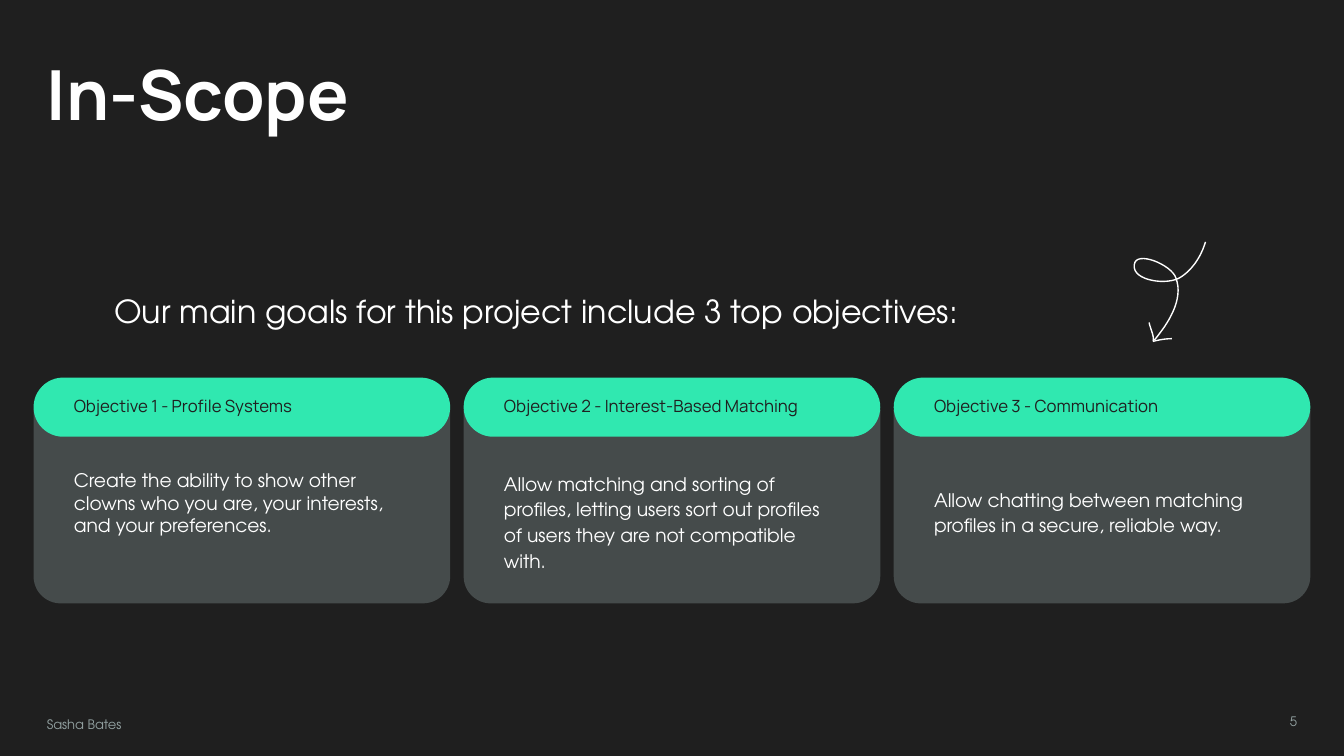
from pptx import Presentation
from pptx.dml.color import RGBColor
from pptx.enum.shapes import MSO_SHAPE
from pptx.enum.text import MSO_ANCHOR, PP_ALIGN
from pptx.util import Inches, Pt

DARK, PANEL, MINT, WHITE, GREY = "1F1F1F", "454B4B", "30E8B0", "FFFFFF", "93A2A2"
HEADING_FONT, BODY_FONT = "Manrope", "TeX Gyre Adventor"
MARGIN, CARD_WIDTH, CARD_GAP = 0.25, 3.1, 0.1
CARD_TOP, CARD_HEIGHT, HEADER_HEIGHT = 2.81, 1.68, 0.44

OBJECTIVES = [
    ("Objective 1 - Profile Systems",
     "Create the ability to show other clowns who you are, your interests, and your preferences.",
     0.58, 1.0),
    ("Objective 2 - Interest-Based Matching",
     "Allow matching and sorting of profiles, letting users sort out profiles of users "
     "they are not compatible with.",
     0.58, 1.15),
    ("Objective 3 - Communication",
     "Allow chatting between matching profiles in a secure, reliable way.",
     0.7, 1.15),
]

ARROW_STROKES = [
    [(0.53, 0), (0.5, 0.1), (0.44, 0.2), (0.35, 0.26),
     (0.25, 0.33), (-0.02, 0.29), (0, 0.17),
     (0.01, 0.06), (0.28, 0.17), (0.31, 0.27),
     (0.37, 0.43), (0.25, 0.61), (0.15, 0.73)],
    [(0.11, 0.6), (0.12, 0.65), (0.15, 0.7), (0.14, 0.74)],
    [(0.14, 0.74), (0.18, 0.73), (0.23, 0.72), (0.28, 0.72)],
]


def color(value):
    """Turn a hex string into a colour."""
    return RGBColor.from_string(value)


def add_text(page, box, text, size, font, ink, side=0.1, edge=0.1, spacing=1.0,
             anchor=MSO_ANCHOR.TOP, align=PP_ALIGN.LEFT, bold=False):
    """Place one paragraph of wrapped text in a box."""
    frame = page.shapes.add_textbox(*map(Inches, box)).text_frame
    frame.word_wrap = True
    frame.vertical_anchor = anchor
    frame.margin_left = frame.margin_right = Inches(side)
    frame.margin_top = frame.margin_bottom = Inches(edge)
    para = frame.paragraphs[0]
    para.text = text
    para.alignment = align
    para.line_spacing = spacing
    span = para.runs[0]
    span.font.size = Pt(size)
    span.font.name = font
    span.font.bold = bold
    span.font.color.rgb = color(ink)


def add_panel(page, kind, box, fill, adjustments):
    """Draw a filled preset shape without outline."""
    shape = page.shapes.add_shape(kind, *map(Inches, box))
    for index, value in enumerate(adjustments):
        shape.adjustments[index] = value
    shape.shadow.inherit = False
    shape.fill.solid()
    shape.fill.fore_color.rgb = color(fill)
    shape.line.fill.background()


def add_card(page, box, heading, body, body_offset, body_spacing):
    """Draw an objective card with its header pill and description."""
    left, top, width, height = box
    header = (left, top, width, HEADER_HEIGHT)
    panel_offset = 0.24
    panel = (left, top + panel_offset, width, height - panel_offset)
    add_panel(page, MSO_SHAPE.ROUND_2_SAME_RECTANGLE, panel, PANEL, (0, 0.14))
    add_panel(page, MSO_SHAPE.ROUNDED_RECTANGLE, header, MINT, (0.5,))
    add_text(page, header, heading, 9, HEADING_FONT, DARK, side=0.3, edge=0,
             spacing=0.9, anchor=MSO_ANCHOR.MIDDLE)
    description = (left, top + body_offset, width, 1.37 - body_offset)
    add_text(page, description, body, 10, BODY_FONT, WHITE, side=0.3, spacing=body_spacing)


def curve_points(controls, steps=16):
    """Sample a chain of cubic curves as points."""
    points = [controls[0]]
    for start in range(0, len(controls) - 1, 3):
        corners = controls[start:start + 4]
        for step in range(1, steps + 1):
            t = step / steps
            weights = ((1 - t) ** 3, 3 * t * (1 - t) ** 2, 3 * t ** 2 * (1 - t), t ** 3)
            points.append(tuple(
                sum(weight * corner[axis] for weight, corner in zip(weights, corners))
                for axis in (0, 1)))
    return points


def add_loop_arrow(page, left, top):
    """Draw the hand-drawn looping arrow."""
    for stroke in ARROW_STROKES:
        points = [(Inches(left + x), Inches(top + y)) for x, y in curve_points(stroke)]
        builder = page.shapes.build_freeform(*points[0])
        builder.add_line_segments(points[1:], close=False)
        shape = builder.convert_to_shape()
        shape.shadow.inherit = False
        shape.fill.background()
        shape.line.color.rgb = color(WHITE)
        shape.line.width = Pt(0.75)


def add_footer(page, left, top, width):
    """Place the author at the left and the page number at the right."""
    add_text(page, (left, top, 1.22, 0.34), "Sasha Bates", 7, BODY_FONT, GREY,
             edge=0.12, spacing=1.15)
    add_text(page, (left + width - 2.4, top, 2.4, 0.32), "5", 7, BODY_FONT, GREY,
             align=PP_ALIGN.RIGHT)


def main():
    """Build and save the deck."""
    deck = Presentation()
    deck.slide_width = Inches(10)
    deck.slide_height = deck.slide_width * 9 // 16
    page = deck.slides.add_slide(deck.slide_layouts[6])
    page.background.fill.solid()
    page.background.fill.fore_color.rgb = color(DARK)

    add_text(page, (MARGIN, 0.28, 6.24, 0.82), "In-Scope", 37, HEADING_FONT, WHITE, bold=True)
    add_text(page, (0.55, 2.07, 8.26, 1.02),
             "Our main goals for this project include 3 top objectives:",
             17, BODY_FONT, WHITE, side=0.3)
    add_loop_arrow(page, 8.44, 1.8)
    for index, objective in enumerate(OBJECTIVES):
        left = MARGIN + index * (CARD_WIDTH + CARD_GAP)
        add_card(page, (left, CARD_TOP, CARD_WIDTH, CARD_HEIGHT), *objective)
    add_footer(page, MARGIN, 5.25, 9.5)
    deck.save("out.pptx")


if __name__ == "__main__":
    main()
